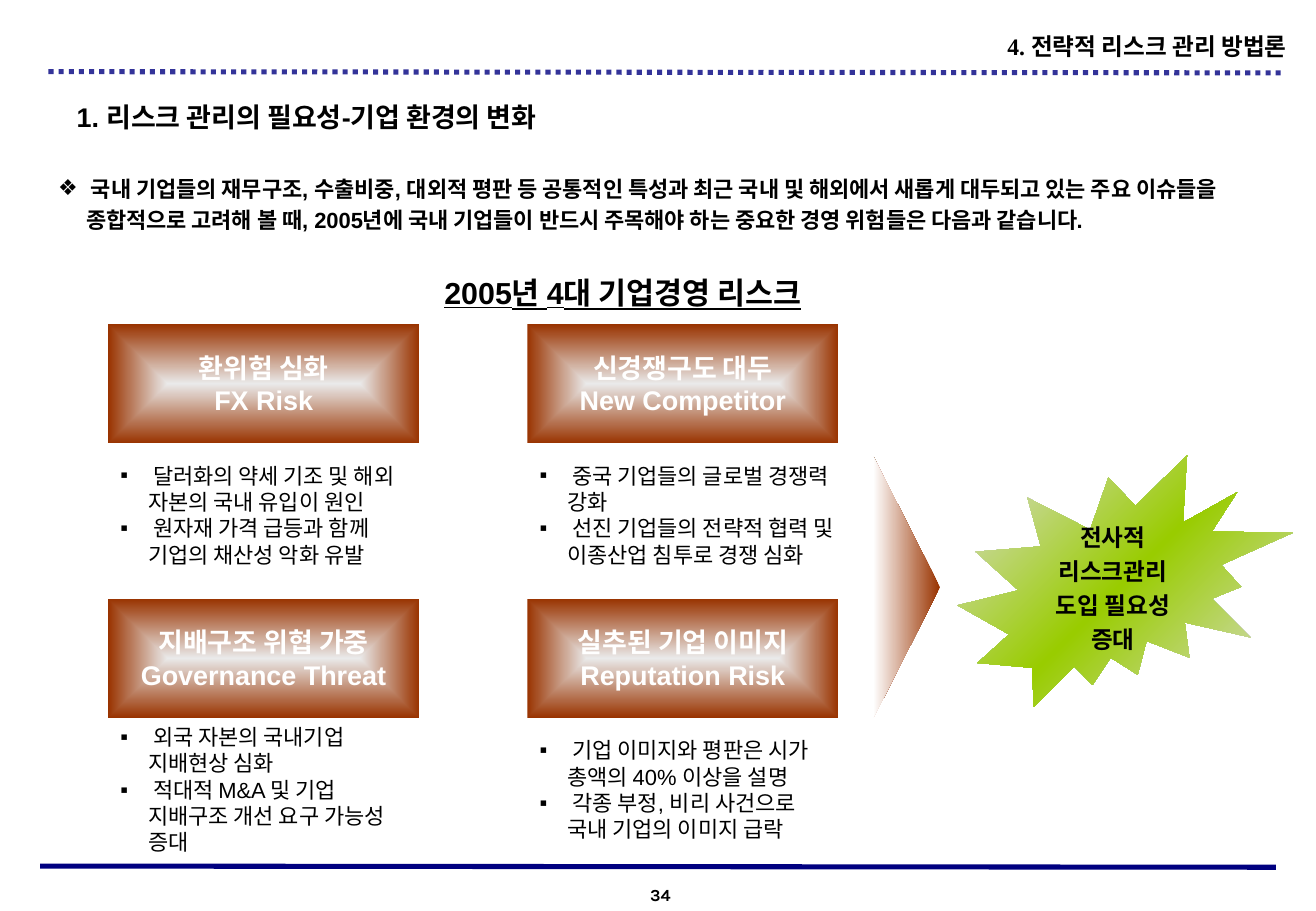
import dataclasses
from typing import Optional

import lxml.etree
import pptx
import pptx.dml.color
import pptx.enum.dml
import pptx.enum.shapes
import pptx.enum.text
import pptx.oxml.ns
import pptx.util

EMU_PER_PX = 9144
COLORS = {
    "black": "000000",
    "white": "FFFFFF",
    "navy": "000080",
    "indigo": "333399",
    "rust": "993300",
    "silver": "EAEAEA",
    "gray": "DDDDDD",
    "lime": "99CC00",
}
ALIGN = pptx.enum.text.PP_ALIGN
ANCHOR = pptx.enum.text.MSO_ANCHOR
SHAPE = pptx.enum.shapes.MSO_SHAPE
qn = pptx.oxml.ns.qn


@dataclasses.dataclass(frozen=True)
class Box:
    left: int
    top: int
    width: int
    height: int

    def emu(self) -> list[int]:
        return [px(value) for value in dataclasses.astuple(self)]


@dataclasses.dataclass(frozen=True)
class TextStyle:
    size: int
    font: str = "Arial"
    color: str = "black"
    bold: bool = True
    underline: bool = False
    align: ALIGN = ALIGN.LEFT
    anchor: ANCHOR = ANCHOR.TOP
    wrap: bool = True
    line_spacing: float = 1.0
    bullet: Optional[str] = None


@dataclasses.dataclass(frozen=True)
class Risk:
    column: int
    row: int
    names: tuple[str, str]
    points: tuple[str, str]
    list_width: int = 256


@dataclasses.dataclass(frozen=True)
class Rule:
    start: tuple[int, int]
    end: tuple[int, int]
    color: str
    dotted: bool = False


TITLE = TextStyle(16)
SECTION = TextStyle(14, font="Times New Roman", align=ALIGN.RIGHT, wrap=False)
LEAD = TextStyle(13, line_spacing=1.2, bullet="❖")
HEADING = TextStyle(18, underline=True, align=ALIGN.CENTER, anchor=ANCHOR.MIDDLE)
RISK_NAME = TextStyle(16, color="white", align=ALIGN.CENTER, anchor=ANCHOR.MIDDLE, wrap=False)
RISK_LIST = TextStyle(13, bold=False, anchor=ANCHOR.MIDDLE, bullet="▪")
CONCLUSION = TextStyle(14, align=ALIGN.CENTER, anchor=ANCHOR.MIDDLE, line_spacing=1.2)
PAGE_NUMBER = TextStyle(10, font="Karla", align=ALIGN.CENTER)

RULES = [
    Rule((1050, 714), (33, 713), "navy"),
    Rule((1054, 60), (38, 59), "indigo", dotted=True),
]
RISKS = [
    Risk(0, 0, ("환위험 심화", "FX Risk"),
         (" 달러화의 약세 기조 및 해외 자본의 국내 유입이 원인",
          " 원자재 가격 급등과 함께 기업의 채산성 악화 유발")),
    Risk(1, 0, ("신경쟁구도 대두", "New Competitor"),
         (" 중국 기업들의 글로벌 경쟁력 강화",
          " 선진 기업들의 전략적 협력 및 이종산업 침투로 경쟁 심화"), 266),
    Risk(0, 1, ("지배구조 위협 가중", "Governance Threat"),
         (" 외국 자본의 국내기업 지배현상 심화",
          " 적대적 M&A 및 기업 지배구조 개선 요구 가능성 증대")),
    Risk(1, 1, ("실추된 기업 이미지", "Reputation Risk"),
         (" 기업 이미지와 평판은 시가 총액의 40% 이상을 설명",
          " 각종 부정, 비리 사건으로 국내 기업의 이미지 급락")),
]
LEAD_TEXT = (
    " 국내 기업들의 재무구조, 수출비중, 대외적 평판 등 공통적인 특성과 최근 국내 및 해외에서 "
    "새롭게 대두되고 있는 주요 이슈들을 종합적으로 고려해 볼 때, 2005년에 국내 기업들이 반드시 "
    "주목해야 하는 중요한 경영 위험들은 다음과 같습니다."
)


def px(value: int) -> int:
    return pptx.util.Emu(value * EMU_PER_PX)


def rgb(name: str) -> pptx.dml.color.RGBColor:
    return pptx.dml.color.RGBColor.from_string(COLORS[name])


def add_bullet(paragraph, character: str) -> None:
    properties = paragraph._p.get_or_add_pPr()
    properties.set("marL", str(px(23)))
    properties.set("indent", str(px(-23)))
    lxml.etree.SubElement(properties, qn("a:buFont"), typeface="Arial")
    lxml.etree.SubElement(properties, qn("a:buChar"), char=character)


def write_text(shape, lines: tuple[str, ...], style: TextStyle) -> None:
    frame = shape.text_frame
    frame.text = "\n".join(lines)
    frame.word_wrap = style.wrap
    frame.auto_size = pptx.enum.text.MSO_AUTO_SIZE.NONE
    frame.vertical_anchor = style.anchor
    for paragraph in frame.paragraphs:
        paragraph.alignment = style.align
        paragraph.line_spacing = style.line_spacing
        paragraph.space_before = pptx.util.Pt(0)
        if style.bullet:
            add_bullet(paragraph, style.bullet)
        font = paragraph.font
        font.name = style.font
        font.size = pptx.util.Pt(style.size)
        font.bold = style.bold
        font.underline = style.underline
        font.color.rgb = rgb(style.color)


def fill_placeholder(shape, box: Box, lines: tuple[str, ...], style: TextStyle) -> None:
    shape.left, shape.top, shape.width, shape.height = box.emu()
    write_text(shape, lines, style)


def add_text(slide, box: Box, text: str, style: TextStyle) -> None:
    write_text(slide.shapes.add_textbox(*box.emu()), (text,), style)


def add_gradient_shape(slide, kind: SHAPE, box: Box, stops: list[tuple[int, str]],
                       angle: Optional[int] = None):
    shape = slide.shapes.add_shape(kind, *box.emu())
    shape.shadow.inherit = False
    shape.line.fill.background()
    gradient = lxml.etree.Element(qn("a:gradFill"), rotWithShape="1")
    stop_list = lxml.etree.SubElement(gradient, qn("a:gsLst"))
    for percent, color in stops:
        stop = lxml.etree.SubElement(stop_list, qn("a:gs"), pos=str(percent * 1000))
        lxml.etree.SubElement(stop, qn("a:srgbClr"), val=COLORS[color])
    if angle is None:
        shading = lxml.etree.SubElement(gradient, qn("a:path"), path="shape")
        sides = {side: "50000" for side in "ltrb"}
        lxml.etree.SubElement(shading, qn("a:fillToRect"), **sides)
    else:
        lxml.etree.SubElement(gradient, qn("a:lin"), ang=str(angle * 60000), scaled="1")
    shape._element.spPr.find(qn("a:prstGeom")).addnext(gradient)
    return shape


def add_rule(slide, rule: Rule) -> None:
    connector = slide.shapes.add_connector(
        pptx.enum.shapes.MSO_CONNECTOR.STRAIGHT,
        *(px(value) for value in rule.start + rule.end))
    connector.line.color.rgb = rgb(rule.color)
    connector.line.width = pptx.util.Pt(3)
    if rule.dotted:
        connector.line.dash_style = pptx.enum.dml.MSO_LINE.ROUND_DOT
    lxml.etree.SubElement(connector._element.spPr, qn("a:effectLst"))


def add_risk(slide, placeholder, risk: Risk) -> None:
    left, top = 89 + 345 * risk.column, 267 + 226 * risk.row
    header = add_gradient_shape(slide, SHAPE.RECTANGLE, Box(left, top, 256, 98),
                                [(0, "silver"), (100, "rust")])
    write_text(header, risk.names, RISK_NAME)
    fill_placeholder(placeholder, Box(left, top + 108, risk.list_width, 98),
                     risk.points, RISK_LIST)


def main() -> None:
    presentation = pptx.Presentation()
    presentation.slide_width, presentation.slide_height = px(1083), px(750)
    slide = presentation.slides.add_slide(
        presentation.slide_layouts.get_by_name("Comparison"))
    title, *lists = slide.placeholders

    for rule in RULES:
        add_rule(slide, rule)
    fill_placeholder(title, Box(53, 78, 481, 37),
                     ("1. 리스크 관리의 필요성-기업 환경의 변화",), TITLE)
    add_text(slide, Box(805, 21, 264, 33), "4. 전략적 리스크 관리 방법론", SECTION)
    add_text(slide, Box(38, 135, 1016, 59), LEAD_TEXT, LEAD)
    add_text(slide, Box(276, 224, 473, 33), "2005년 4대 기업경영 리스크", HEADING)
    for placeholder, risk in zip(lists, RISKS):
        add_risk(slide, placeholder, risk)

    arrow = add_gradient_shape(slide, SHAPE.ISOSCELES_TRIANGLE, Box(638, 456, 216, 55),
                               [(0, "rust"), (100, "white")], 90)
    arrow.rotation = 90
    burst = add_gradient_shape(slide, SHAPE.EXPLOSION2, Box(788, 375, 276, 207),
                               [(0, "gray"), (50, "lime"), (100, "gray")], 45)
    write_text(burst, ("전사적 리스크관리 도입 필요성 증대",), CONCLUSION)
    add_text(slide, Box(501, 723, 85, 27), "34", PAGE_NUMBER)
    presentation.save("out.pptx")


if __name__ == "__main__":
    main()
